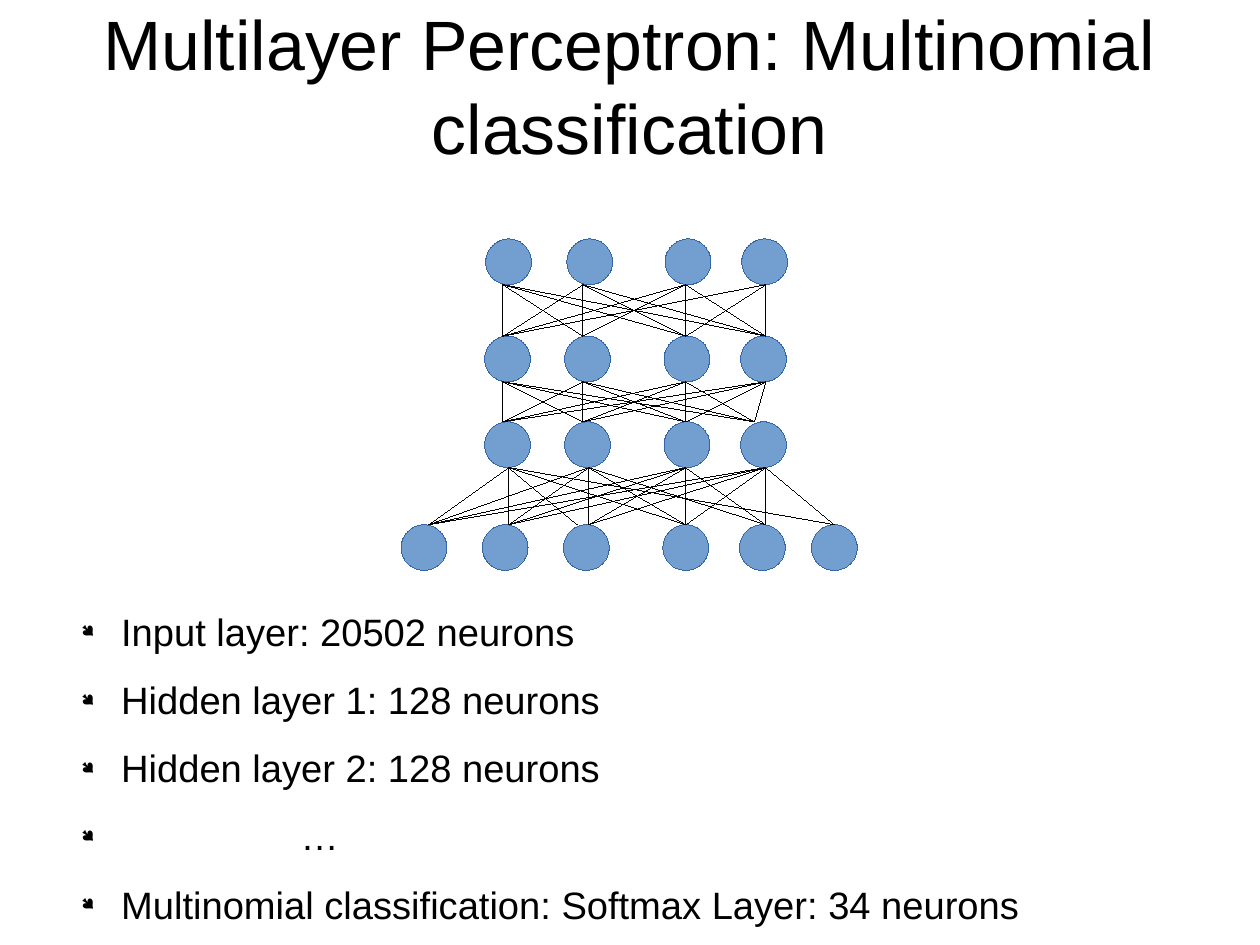
from lxml import etree
from pptx import Presentation
from pptx.dml.color import RGBColor
from pptx.enum import shapes, text
from pptx.oxml.ns import qn
from pptx.util import Inches, Pt

COLORS = {"text": "000000", "neuron": "729FCF", "outline": "3465A4", "link": "000000"}
FONT = "Arial"
BULLET_FONT = "Wingdings"
CM_PER_INCH = 2.54
NEURON_SIZE = 0.4

NEURON_ROWS = [
    (4.59, [3.51, 4.22, 4.93, 5.8, 6.47, 7.1]),
    (3.69, [4.24, 4.94, 5.81, 6.48]),
    (2.94, [4.24, 4.94, 5.81, 6.48]),
    (2.09, [4.25, 4.96, 5.82, 6.49]),
]

HIDDEN_ENDS = [4.45, 5.15, 6, 6.7]
UPPER_ENDS = [4.4, 5.1, 6, 6.7]

LINK_BANDS = [
    (4.59, 4.09, {
        3.75: HIDDEN_ENDS,
        4.45: HIDDEN_ENDS,
        5.05: [4.45],
        5.15: [5.15, 6, 6.7],
        6: HIDDEN_ENDS,
        6.7: [5.15, 6, 6.7],
        7.3: [4.45, 6.7],
    }),
    (3.69, 3.34, {x: UPPER_ENDS for x in (4.4, 5.1, 6, 6.6)}),
    (2.94, 2.49, {4.4: UPPER_ENDS, 5.1: [4.4, 5.1, 6], 6: UPPER_ENDS, 6.7: UPPER_ENDS}),
]

LAYER_NOTES = [
    ("Input layer: 20502 neurons", 0.47),
    ("Hidden layer 1: 128 neurons", 0.47),
    ("Hidden layer 2: 128 neurons", 0.47),
    ("…", 2.04),
    ("Multinomial classification: Softmax Layer: 34 neurons", 0.47),
]
BULLET_LEFT = 0.12


def color(name):
    return RGBColor.from_string(COLORS[name])


def set_font(paragraph, size):
    paragraph.font.name = FONT
    paragraph.font.size = Pt(size)
    paragraph.font.color.rgb = color("text")


def clear_margins(frame):
    frame.word_wrap = True
    frame.margin_left = frame.margin_right = 0
    frame.margin_top = frame.margin_bottom = 0


def set_hairline(part, name):
    part.line.color.rgb = color(name)
    part.line.width = Pt(0)
    part._element.remove(part._element.find(qn("p:style")))


def add_title(slide, wording):
    title = slide.shapes.title
    title.left, title.top = Inches(0.55), Inches(0.05)
    title.width, title.height = Inches(9.92), Inches(1.38)
    frame = title.text_frame
    clear_margins(frame)
    frame.auto_size = text.MSO_AUTO_SIZE.NONE
    frame.vertical_anchor = text.MSO_ANCHOR.MIDDLE
    frame.text = wording
    frame.paragraphs[0].alignment = text.PP_ALIGN.CENTER
    set_font(frame.paragraphs[0], 44)


def add_bullet(paragraph, text_left):
    properties = paragraph._p.get_or_add_pPr()
    properties.set("marL", str(Inches(text_left)))
    properties.set("indent", str(Inches(BULLET_LEFT - text_left)))
    bullet_color = etree.SubElement(properties, qn("a:buClr"))
    etree.SubElement(bullet_color, qn("a:srgbClr"), val=COLORS["text"])
    etree.SubElement(properties, qn("a:buSzPct"), val="45000")
    etree.SubElement(properties, qn("a:buFont"), typeface=BULLET_FONT, charset="2")
    etree.SubElement(properties, qn("a:buChar"), char="●")


def add_layer_notes(slide):
    box = slide.shapes.add_textbox(Inches(0.59), Inches(5.32), Inches(9.92), Inches(2.9))
    frame = box.text_frame
    clear_margins(frame)
    for index, (wording, text_left) in enumerate(LAYER_NOTES):
        note = frame.add_paragraph() if index else frame.paragraphs[0]
        note.text = wording
        add_bullet(note, text_left)
        if index:
            note.space_before = Pt(14.2)
        set_font(note, 24)


def add_neuron(slide, left, top):
    neuron = slide.shapes.add_shape(
        shapes.MSO_SHAPE.OVAL, Inches(left), Inches(top),
        Inches(NEURON_SIZE), Inches(NEURON_SIZE))
    neuron.shadow.inherit = False
    neuron.fill.solid()
    neuron.fill.fore_color.rgb = color("neuron")
    set_hairline(neuron, "outline")


def add_link(slide, start_x, start_y, end_x, end_y):
    link = slide.shapes.add_connector(
        shapes.MSO_CONNECTOR.STRAIGHT,
        Inches(start_x), Inches(start_y), Inches(end_x), Inches(end_y))
    set_hairline(link, "link")
    etree.SubElement(link._element.spPr, qn("a:effectLst"))


def main():
    deck = Presentation()
    deck.slide_width = Inches(28 / CM_PER_INCH)
    deck.slide_height = Inches(21 / CM_PER_INCH)
    slide = deck.slides.add_slide(deck.slide_layouts[5])

    add_title(slide, "Multilayer Perceptron: Multinomial classification")
    add_layer_notes(slide)
    for top, lefts in NEURON_ROWS:
        for left in lefts:
            add_neuron(slide, left, top)
    for lower_y, upper_y, links in LINK_BANDS:
        for lower_x, upper_ends in links.items():
            for upper_x in upper_ends:
                add_link(slide, lower_x, lower_y, upper_x, upper_y)

    deck.save("out.pptx")


if __name__ == "__main__":
    main()
